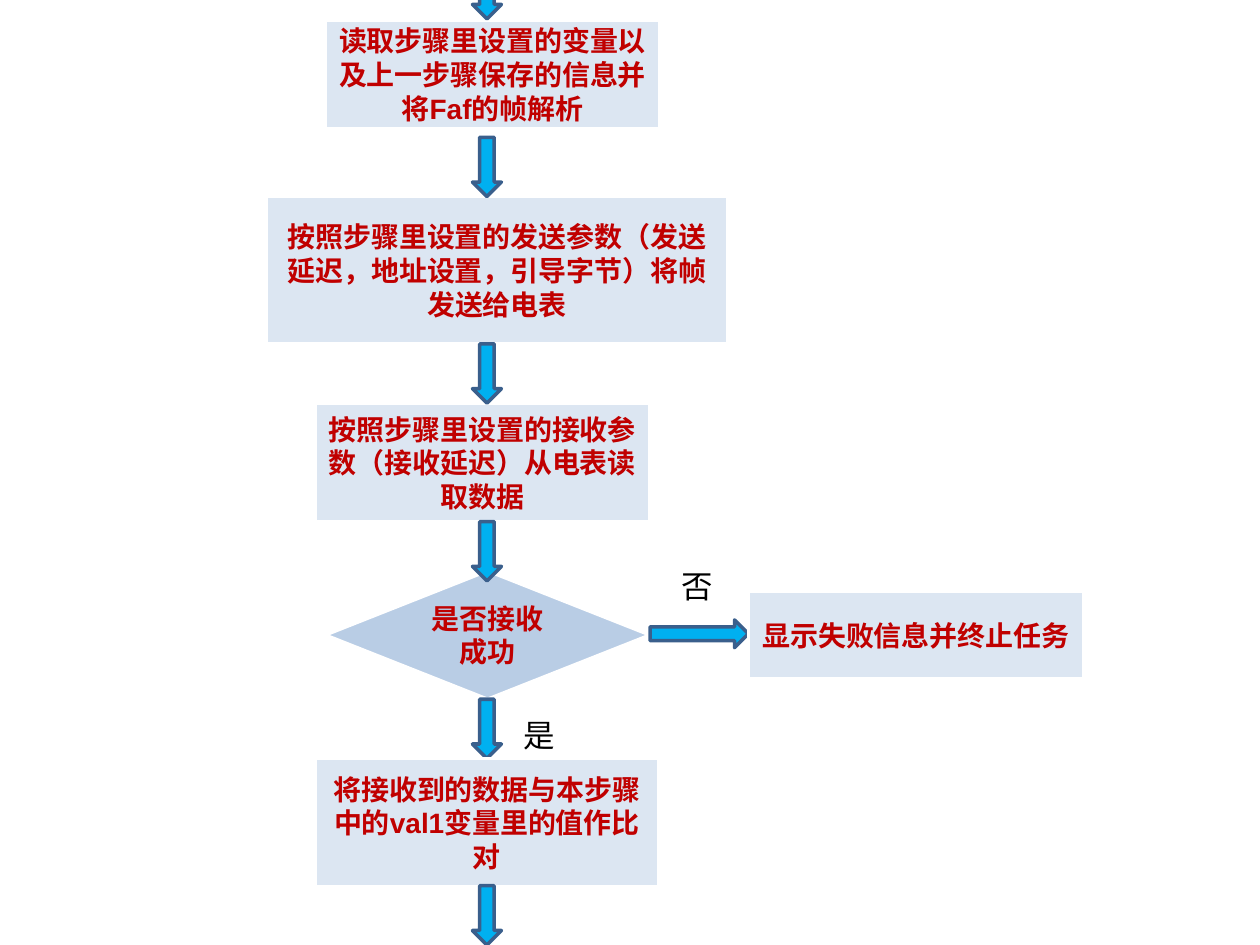
"""Build a flowchart slide for sending a frame to a meter and checking its reply."""
from pptx import Presentation
from pptx.dml.color import RGBColor
from pptx.enum.shapes import MSO_SHAPE as Shape
from pptx.enum.text import MSO_ANCHOR as Anchor, PP_ALIGN as Align
from pptx.util import Inches, Pt

WHITE = RGBColor(0xFF, 0xFF, 0xFF)
BLACK = RGBColor(0x00, 0x00, 0x00)
RED = RGBColor(0xC0, 0x00, 0x00)
PALE_BLUE = RGBColor(0xDC, 0xE6, 0xF2)
MID_BLUE = RGBColor(0xB9, 0xCD, 0xE5)
ARROW_BLUE = RGBColor(0x00, 0xB0, 0xF0)
ARROW_EDGE = RGBColor(0x3A, 0x5F, 0x8C)

presentation = Presentation()
presentation.slide_width = Inches(10)
presentation.slide_height = Inches(7.5)
slide = presentation.slides.add_slide(presentation.slide_layouts[6])


def add_block(kind, place, fill, edge):
    shape = slide.shapes.add_shape(kind, *map(Inches, place))
    shape.shadow.inherit = False
    shape.fill.solid()
    shape.fill.fore_color.rgb = fill
    shape.line.color.rgb = edge
    shape.line.width = Pt(2)
    return shape


def add_text(shape, text, font, size, color, bold):
    run = shape.text_frame.paragraphs[0].add_run()
    run.text = text
    run.font.name = font
    run.font.size = Pt(size)
    run.font.color.rgb = color
    run.font.bold = bold


steps = [
    (Shape.RECTANGLE, (2.58, 0.16, 2.66, 0.86), PALE_BLUE, "Arial",
     "读取步骤里设置的变量以及上一步骤保存的信息并将Faf的帧解析"),
    (Shape.RECTANGLE, (2.11, 1.56, 3.67, 1.17), PALE_BLUE, "Arial",
     "按照步骤里设置的发送参数（发送延迟，地址设置，引导字节）将帧发送给电表"),
    (Shape.RECTANGLE, (2.5, 3.2, 2.66, 0.94), PALE_BLUE, "Arial",
     "按照步骤里设置的接收参数（接收延迟）从电表读取数据"),
    (Shape.FLOWCHART_DECISION, (2.58, 4.53, 2.58, 1.02), MID_BLUE, "Calibri",
     "是否接收成功"),
    (Shape.RECTANGLE, (2.5, 6.02, 2.73, 1.02), PALE_BLUE, "Arial",
     "将接收到的数据与本步骤中的val1变量里的值作比对"),
    (Shape.RECTANGLE, (5.94, 4.69, 2.66, 0.7), PALE_BLUE, "Arial",
     "显示失败信息并终止任务"),
]
arrows_after_decision = [
    (Shape.DOWN_ARROW, (3.75, top, 0.23, height))
    for top, height in [(-0.16, 0.31), (1.09, 0.47), (2.73, 0.47), (4.14, 0.47), (5.55, 0.47)]
] + [(Shape.RIGHT_ARROW, (5.16, 4.92, 0.78, 0.22))]

for kind, place, fill, font, text in steps:
    step = add_block(kind, place, fill, WHITE)
    step.text_frame.word_wrap = True
    step.text_frame.vertical_anchor = Anchor.MIDDLE
    step.text_frame.paragraphs[0].alignment = Align.CENTER
    add_text(step, text, font, 16, RED, True)
    if kind == Shape.FLOWCHART_DECISION:
        for arrow_kind, arrow_place in arrows_after_decision:
            add_block(arrow_kind, arrow_place, ARROW_BLUE, ARROW_EDGE)

add_block(Shape.DOWN_ARROW, (3.75, 7.03, 0.23, 0.47), ARROW_BLUE, ARROW_EDGE)

for text, left, top in [("是", 4.06, 5.63), ("否", 5.31, 4.45)]:
    label = slide.shapes.add_textbox(Inches(left), Inches(top), Inches(0.45), Inches(0.4))
    label.text_frame.word_wrap = False
    add_text(label, text, "Calibri", 18, BLACK, False)

presentation.save("out.pptx")
